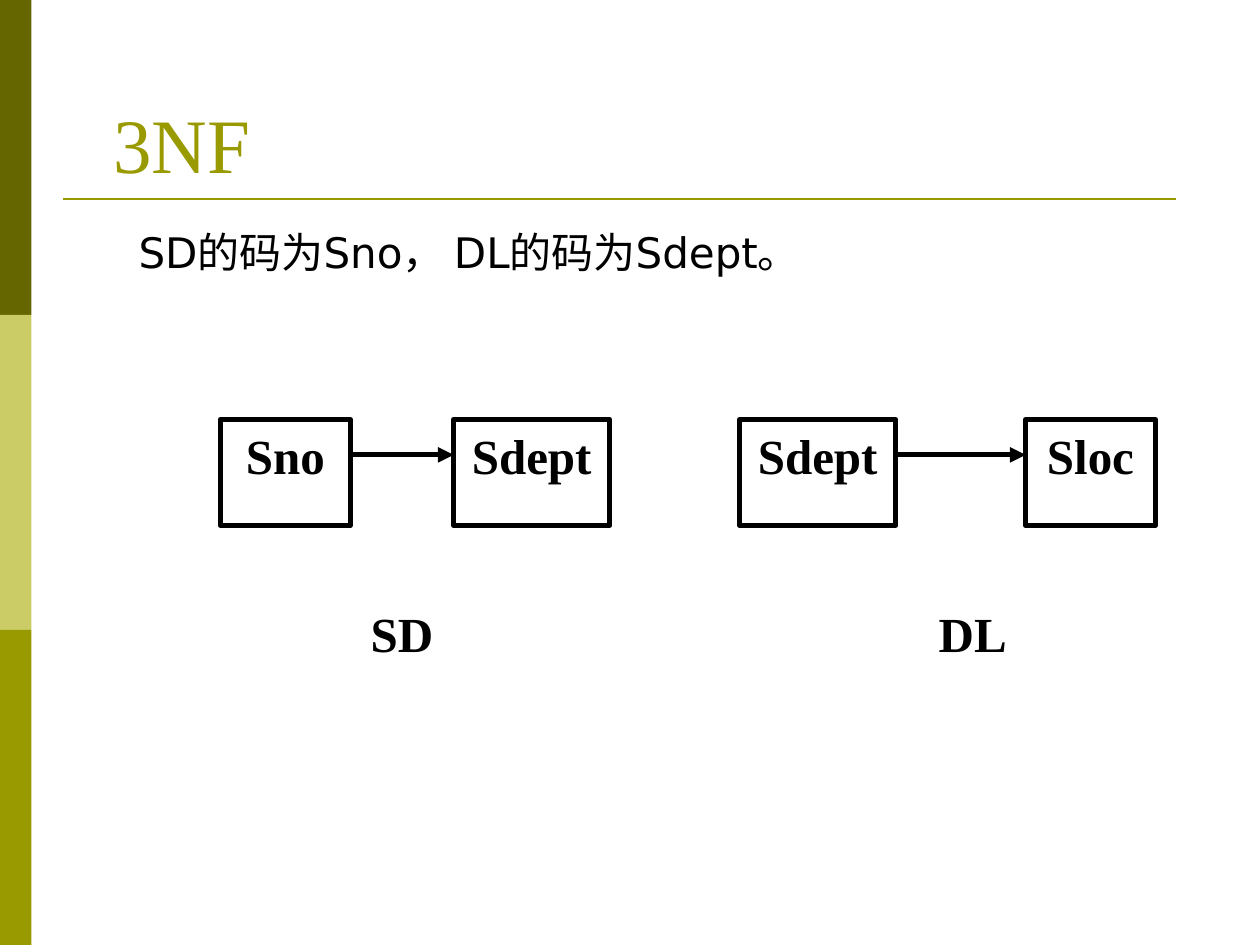
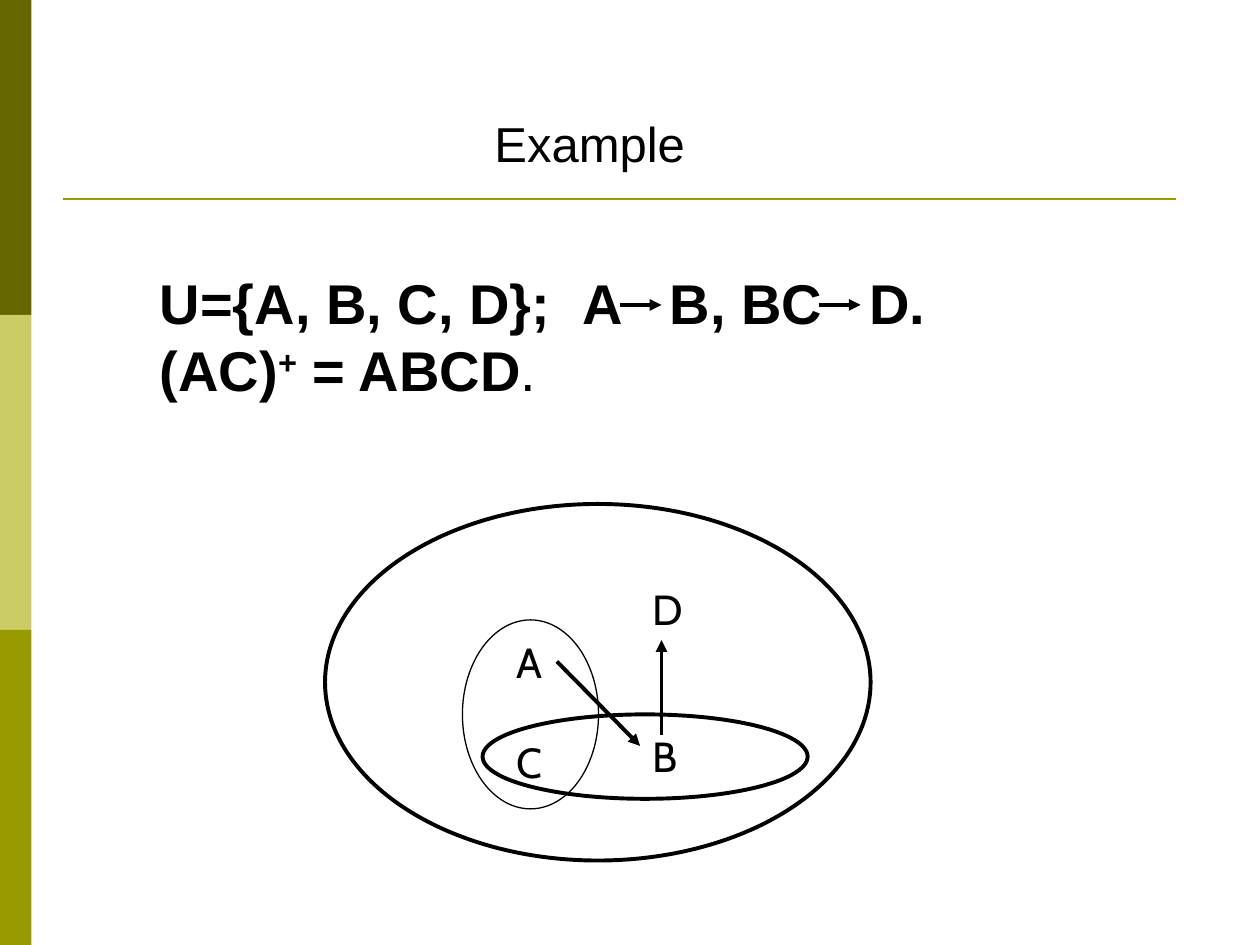
import pptx
import pptx.dml.color
import pptx.enum.shapes
import pptx.enum.text
import pptx.util
from lxml import etree
from pptx.oxml.ns import qn

INK, OLIVE, DARK, PALE = "000000", "999900", "666600", "CCCC66"
SERIF, SANS, WIDE, LABEL = "Times New Roman", "Arial", "DejaVu Sans", "Cabin"
INCH = pptx.util.Inches
SHAPE = pptx.enum.shapes.MSO_SHAPE
ALIGN = pptx.enum.text.PP_ALIGN
ANCHOR = pptx.enum.text.MSO_ANCHOR


def color(code):
    """Turn a hex string into a colour."""
    return pptx.dml.color.RGBColor.from_string(code)


def place(shape, box):
    """Move a shape to a box given in inches."""
    shape.left, shape.top, shape.width, shape.height = map(INCH, box)


def write(shape, rows, size=24, font=SANS, ink=INK, bold=False, align=ALIGN.LEFT,
          anchor=ANCHOR.TOP, inset=0.1, indent=0, wrap=True):
    """Fill a shape with rows of text, each a string or a list of (text, changes)."""
    frame = shape.text_frame
    frame.auto_size = pptx.enum.text.MSO_AUTO_SIZE.NONE
    frame.word_wrap, frame.vertical_anchor = wrap, anchor
    frame.margin_left = INCH(inset)
    for i, row in enumerate(rows):
        line = frame.add_paragraph() if i else frame.paragraphs[0]
        line.alignment, line.space_before = align, pptx.util.Pt(0)
        props = line._p.get_or_add_pPr()
        props.set("marL", str(INCH(indent)))
        props.set("indent", "0")
        etree.SubElement(props, qn("a:buNone"))
        for words, change in [(row, {})] if isinstance(row, str) else row:
            run = line.add_run()
            run.text = words
            run.font.name, run.font.size = font, pptx.util.Pt(size)
            run.font.bold = change.get("bold", bold)
            run.font.color.rgb = color(ink)
            if "lift" in change:
                run._r.get_or_add_rPr().set("baseline", str(change["lift"] * 1000))
            if "space" in change:
                run._r.get_or_add_rPr().set("spc", str(change["space"] * 100))


def note(slide, box, words, **style):
    """Add a text box."""
    write(slide.shapes.add_textbox(*map(INCH, box)), [words], **style)


def form(slide, kind, box, fill=None, line=None, width=1.0):
    """Add a flat preset shape with optional fill and outline."""
    shape = slide.shapes.add_shape(kind, *map(INCH, box))
    shape.shadow.inherit = False
    if fill:
        shape.fill.solid()
        shape.fill.fore_color.rgb = color(fill)
    else:
        shape.fill.background()
    if line:
        shape.line.color.rgb = color(line)
        shape.line.width = pptx.util.Pt(width)
    else:
        shape.line.fill.background()
    return shape


def rule(slide, start, end, ink=INK, width=2.25, head=True):
    """Draw a straight line, with an arrowhead at its end if asked."""
    kind = pptx.enum.shapes.MSO_CONNECTOR.STRAIGHT
    link = slide.shapes.add_connector(kind, *map(INCH, (*start, *end)))
    link.line.color.rgb = color(ink)
    link.line.width = pptx.util.Pt(width)
    if head:
        etree.SubElement(link.line._get_or_add_ln(), qn("a:tailEnd"), type="triangle")
    etree.SubElement(link._element.spPr, qn("a:effectLst"))


def begin(deck, layout, title, box, **style):
    """Add a slide with the side bands, the rule and a title."""
    slide = deck.slides.add_slide(deck.slide_layouts[layout])
    for i, fill in enumerate((DARK, PALE, OLIVE)):
        form(slide, SHAPE.RECTANGLE, (0, 2.5 * i, 0.25, 2.5), fill=fill)
    rule(slide, (0.5, 1.58), (9.33, 1.58), ink=OLIVE, width=1.5, head=False)
    place(slide.shapes.title, box)
    write(slide.shapes.title, [title], anchor=ANCHOR.BOTTOM, **style)
    return slide


def chain(slide, left, top, nodes, gap, name, shift):
    """Draw two linked boxes from (label, width) pairs with a name below."""
    style = dict(size=28, font=SERIF, bold=True, align=ALIGN.CENTER)
    x = left
    for label, width in nodes:
        node = form(slide, SHAPE.RECTANGLE, (x, top, width, 0.84), line=INK, width=3)
        write(node, [label], **style)
        x += width + gap
    start = left + nodes[0][1]
    rule(slide, (start, top + 0.28), (start + gap, top + 0.28), width=3)
    note(slide, (left + shift, top + 1.41, 0.82, 0.84), name, **style)


def formula(slide, left, top):
    """Write the dependencies and the closure, with arrows in the gaps."""
    gap = (" ", {"space": 18})
    rows = [[("U={A, B, C, D};", {}), (" ", {"space": 9}), ("A", {}), gap,
             ("B, BC", {}), gap, ("D.", {})],
            [("(AC)", {}), ("+", {"lift": 30}), (" = ABCD", {}), (".", {"bold": False})]]
    area = slide.shapes.add_textbox(*map(INCH, (left, top, 8.33, 1.17)))
    write(area, rows, size=32, bold=True, anchor=ANCHOR.MIDDLE)
    for start, end in ((3.75, 4.08), (5.33, 5.66)):
        rule(slide, (left + start, top + 0.34), (left + end, top + 0.34))


def venn(slide, left, top):
    """Draw the attribute sets as ellipses with arrows between letters."""
    for x, y, wide, high, width in ((0, 0, 4.33, 2.83, 2.25),
                                    (1.09, 0.92, 1.08, 1.5, 0.75),
                                    (1.25, 1.67, 2.58, 0.67, 2.25)):
        form(slide, SHAPE.OVAL, (left + x, top + y, wide, high), line=INK, width=width)
    for letter, x, y in (("A", 1.42, 1), ("C", 1.42, 1.8), ("D", 2.5, 0.58), ("B", 2.5, 1.75)):
        note(slide, (left + x, top + y, 0.44, 0.5), letter, font=LABEL, wrap=False)
    for x, y, to_x, to_y in ((1.84, 1.25, 2.5, 1.92), (2.67, 1.83, 2.67, 1.08)):
        rule(slide, (left + x, top + y), (left + to_x, top + to_y))


def normal(deck):
    """Build the third normal form slide."""
    slide = begin(deck, 1, "3NF", (0.5, 0.3, 9, 1.25),
                  size=44, font=SERIF, ink=OLIVE, inset=0.4)
    body = slide.placeholders[1]
    place(body, (0.5, 1.75, 9, 4.95))
    write(body, ["SD的码为Sno， DL的码为Sdept。"], font=WIDE, indent=0.5)
    chain(slide, 1.75, 3.33, (("Sno", 1.03), ("Sdept", 1.24)), 0.82, "SD", 1.03)
    chain(slide, 5.87, 3.33, (("Sdept", 1.24), ("Sloc", 1.03)), 1.03, "DL", 1.44)


def example(deck):
    """Build the closure example slide."""
    slide = begin(deck, 5, "Example", (0.42, 0.5, 8.52, 0.92),
                  size=28, align=ALIGN.CENTER)
    formula(slide, 1.17, 2.08)
    venn(slide, 2.58, 4)


def main():
    """Build and save the deck."""
    deck = pptx.Presentation()
    deck.slide_width, deck.slide_height = INCH(10), INCH(7.5)
    normal(deck)
    example(deck)
    deck.save("out.pptx")


if __name__ == "__main__":
    main()
